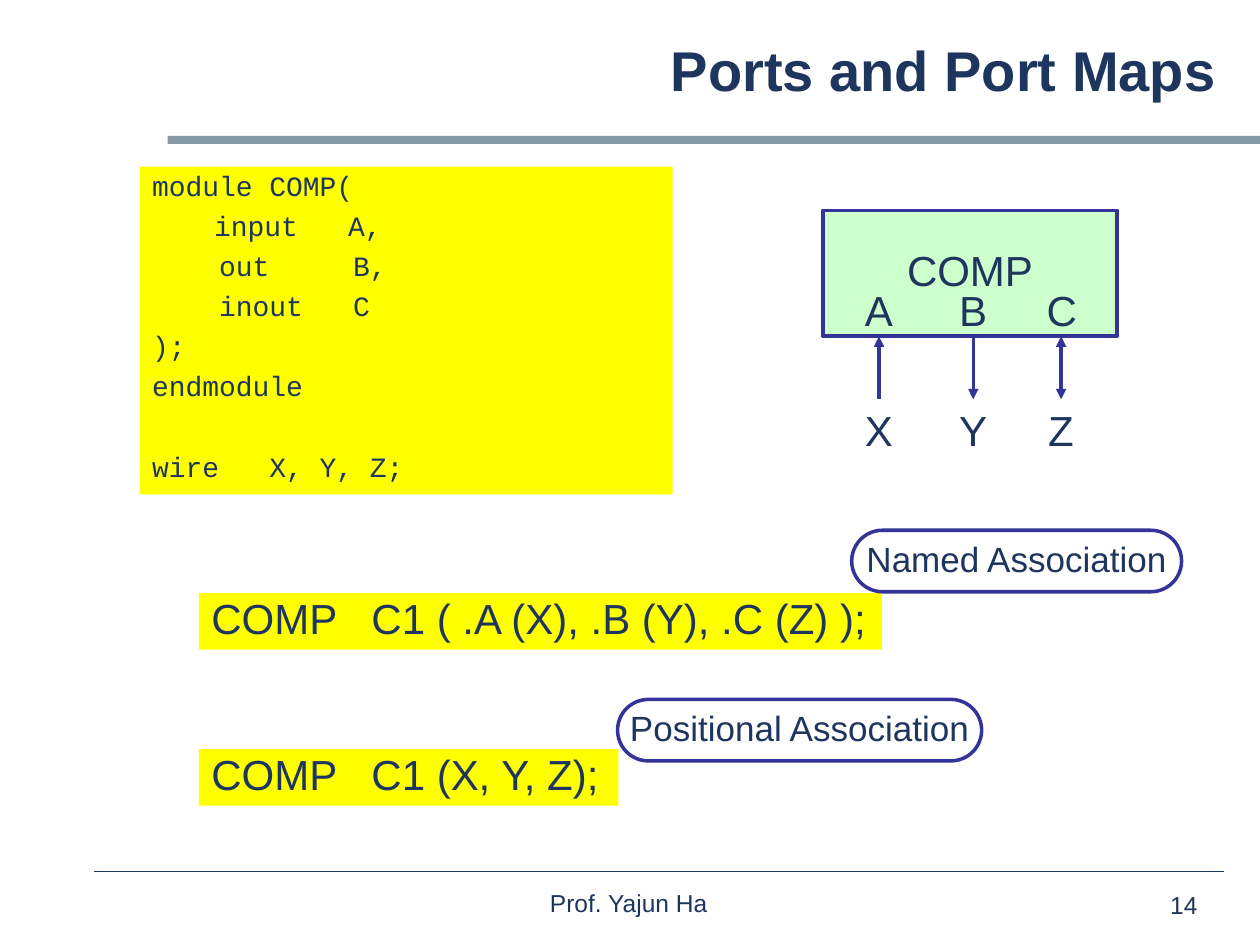
from lxml import etree
from pptx import Presentation
from pptx.dml.color import RGBColor
from pptx.enum.shapes import MSO_CONNECTOR, MSO_SHAPE
from pptx.enum.text import MSO_ANCHOR, PP_ALIGN
from pptx.oxml.ns import qn
from pptx.util import Cm, Pt

NAVY = RGBColor(0x1E, 0x35, 0x5E)
INDIGO = RGBColor(0x33, 0x33, 0x99)
SLATE = RGBColor(0x84, 0x99, 0xA5)
YELLOW = RGBColor(0xFF, 0xFF, 0x00)
MINT = RGBColor(0xCC, 0xFF, 0xCC)

RECT, PILL = MSO_SHAPE.RECTANGLE, MSO_SHAPE.ROUNDED_RECTANGLE
STRAIGHT = MSO_CONNECTOR.STRAIGHT
LEFT, CENTER, RIGHT = PP_ALIGN.LEFT, PP_ALIGN.CENTER, PP_ALIGN.RIGHT
TOP, MIDDLE = MSO_ANCHOR.TOP, MSO_ANCHOR.MIDDLE

CODE = ["module COMP(", "\tinput   A,", "    out     B,", "    inout   C",
        ");", "endmodule", "wire   X, Y, Z;"]
# port, wire, centre from the left of the component, arrowhead ends
PORTS = [("A", "X", 1.13, ["headEnd"]),
         ("B", "Y", 3.03, ["tailEnd"]),
         ("C", "Z", 4.8, ["headEnd", "tailEnd"])]


def style(para, size, align=LEFT, face="Arial", bold=False):
    para.alignment = align
    para.line_spacing = 0.88
    font = para.font
    font.size, font.name, font.bold = Pt(size), face, bold
    font.color.rgb = NAVY


def write(shape, text, size, align=LEFT, anchor=TOP, wrap=False):
    frame = shape.text_frame
    frame.word_wrap, frame.vertical_anchor = wrap, anchor
    frame.text = text
    style(frame.paragraphs[0], size, align)


def label(slide, box, text, size, align=LEFT, wrap=False):
    write(slide.shapes.add_textbox(*map(Cm, box)), text, size, align, wrap=wrap)


def block(slide, box, fill=None, line=None, kind=RECT):
    shape = slide.shapes.add_shape(kind, *map(Cm, box))
    shape.shadow.inherit = False
    if fill is None:
        shape.fill.background()
    else:
        shape.fill.solid()
        shape.fill.fore_color.rgb = fill
    if line is None:
        shape.line.fill.background()
    else:
        shape.line.color.rgb = line
        shape.line.width = Pt(2)
    return shape


def rule(slide, ends, color, width, heads=()):
    """Draw a line between two points, with arrowheads at the named ends."""
    line = slide.shapes.add_connector(STRAIGHT, *map(Cm, ends))
    line.line.color.rgb = color
    line.line.width = Pt(width)
    props = line._element.spPr
    etree.SubElement(props, qn("a:effectLst"))
    for head in heads:
        etree.SubElement(props.find(qn("a:ln")), qn("a:" + head), type="triangle")


def header(slide, box, text):
    left, top, width, height = box
    title = slide.shapes.title
    title.left, title.top, title.width, title.height = map(Cm, box)
    write(title, text, 32, RIGHT, MIDDLE, True)
    title.text_frame.paragraphs[0].font.bold = True
    block(slide, (left, top + 2.31, 25.4 - left, 0.16), SLATE)


def listing(slide, box):
    frame = block(slide, box, YELLOW).text_frame
    frame.word_wrap, frame.vertical_anchor = True, TOP
    frame.text = "\n".join(CODE)
    for para in frame.paragraphs:
        props = para._p.get_or_add_pPr()
        props.set("marL", str(Cm(1.25)))
        props.set("indent", str(-Cm(1.25)))
        style(para, 16, face="Courier New")
    for para in frame.paragraphs[1:]:
        para.space_before = Pt(6)
    frame.paragraphs[-1].space_before = Pt(29)


def diagram(slide, box):
    left, top, width, height = box
    write(block(slide, box, MINT, INDIGO), "COMP", 24, CENTER, MIDDLE)
    base = top + height
    for port, wire, shift, heads in PORTS:
        mid = left + shift
        label(slide, (mid - 0.54, base - 1.04, 1.08, 1.14), port, 24, CENTER)
        rule(slide, (mid, base, mid, base + 1.27), INDIGO, 2, heads)
        label(slide, (mid - 0.54, base + 1.39, 1.08, 1.14), wire, 24, CENTER)


def example(slide, box, code, tag, place):
    """Place one instantiation and its tag; place is the tag's offset and width."""
    left, top, width, height = box
    write(block(slide, box, YELLOW), code, 24)
    right, down, span = place
    pill = block(slide, (left + right, top + down, span, 1.24), None, INDIGO, PILL)
    pill.adjustments[0] = 0.5
    write(pill, tag, 20, CENTER, MIDDLE)


def footer(slide, box):
    left, top, width, height = box
    rule(slide, (left, top, left + width, top), NAVY, 0.75)
    label(slide, (left + 6.43, top + 0.28, 8.69, height), "Prof. Yajun Ha", 14, CENTER, True)
    label(slide, (left + 21.44, top + 0.33, 1.65, 0.66), "14", 14, wrap=True)


def main():
    deck = Presentation()
    deck.slide_width, deck.slide_height = Cm(25.4), Cm(19.05)
    slide = deck.slides.add_slide(deck.slide_layouts[5])
    header(slide, (3.38, 0.43, 21.39, 2.11), "Ports and Port Maps")
    listing(slide, (2.82, 3.36, 10.74, 6.61))
    diagram(slide, (16.59, 4.24, 5.93, 2.54))
    example(slide, (4.01, 11.96, 13.77, 1.14), "COMP   C1 ( .A (X), .B (Y), .C (Z) );",
            "Named Association", (13.16, -1.27, 6.65))
    example(slide, (4.01, 15.1, 8.46, 1.14), "COMP   C1 (X, Y, Z);",
            "Positional Association", (8.44, -1, 7.34))
    footer(slide, (1.9, 17.57, 22.78, 1.07))
    deck.save("out.pptx")


if __name__ == "__main__":
    main()
